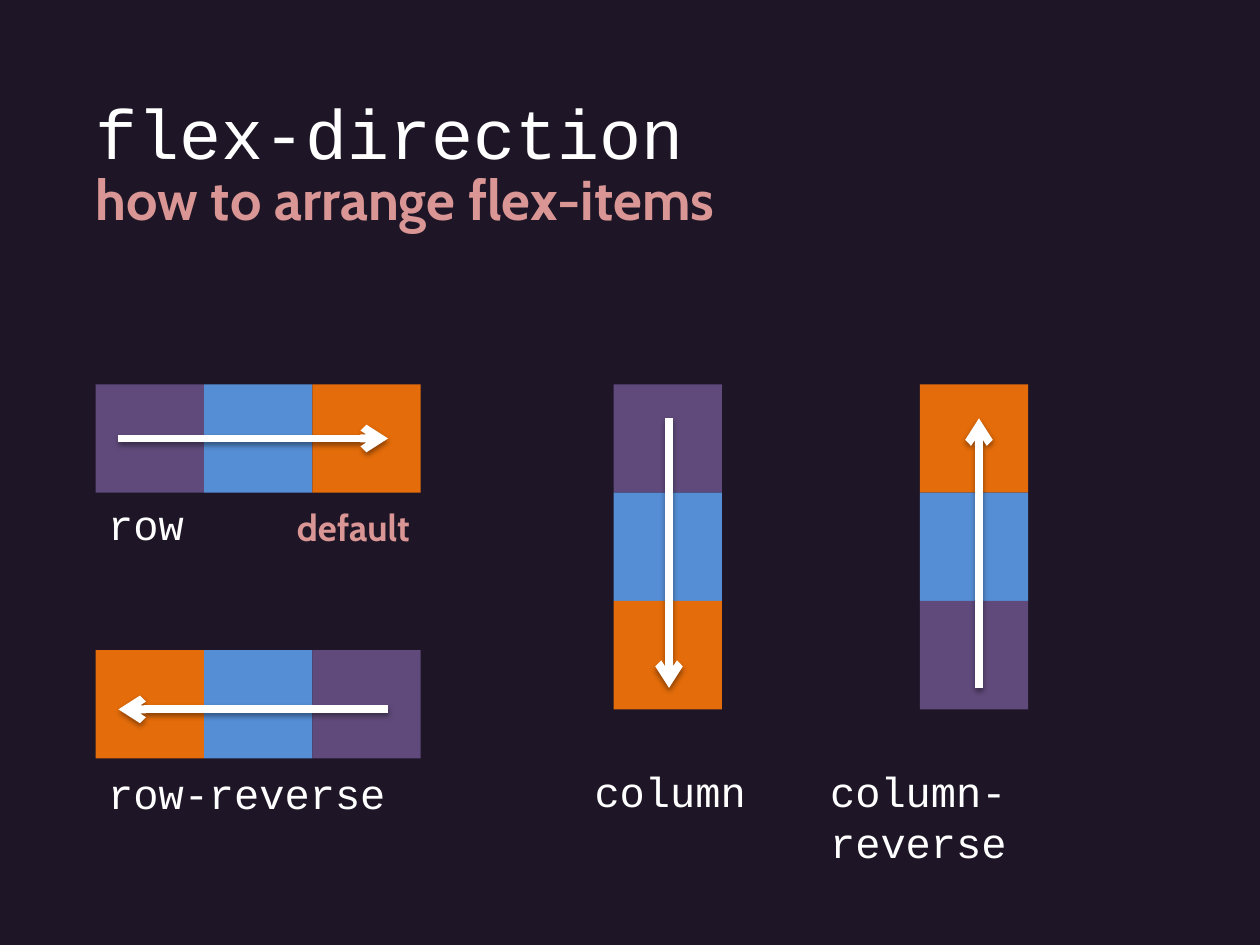
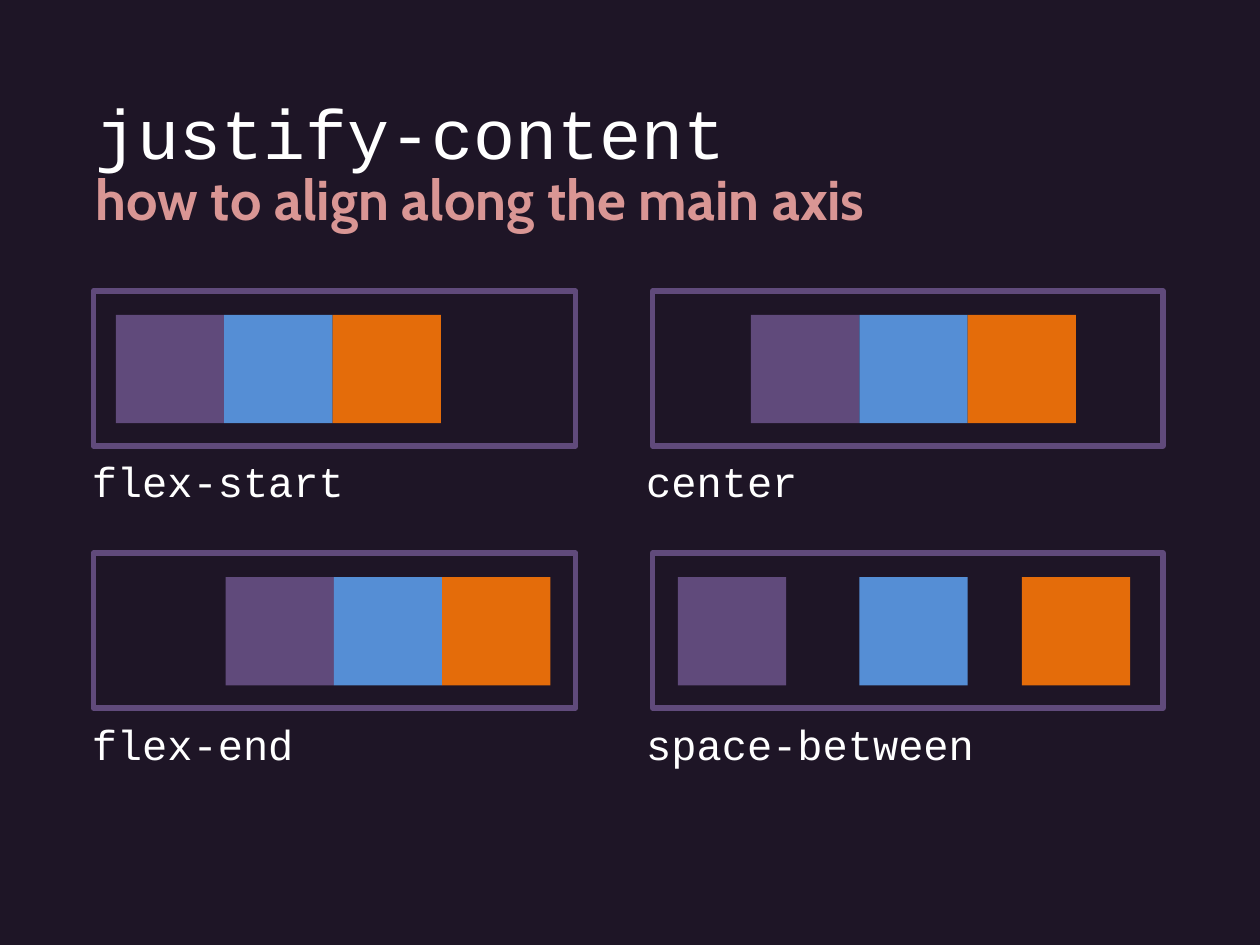
from lxml.etree import SubElement
from pptx import Presentation
from pptx.dml.color import RGBColor
from pptx.enum.shapes import MSO_CONNECTOR, MSO_SHAPE
from pptx.enum.text import MSO_AUTO_SIZE, PP_ALIGN
from pptx.oxml.ns import qn
from pptx.util import Inches, Pt

COLORS = {
    "night": "1E1526",
    "white": "FFFFFF",
    "rose": "D99694",
    "plum": "604A7B",
    "blue": "558ED5",
    "orange": "E46C0A",
    "black": "000000",
}
STYLES = {
    "title": ("white", {"name": "Courier New", "size": Pt(40)}),
    "lead": ("rose", {"name": "Cabin", "size": Pt(32), "bold": True}),
    "code": ("white", {"name": "Courier New", "size": Pt(24)}),
    "note": ("rose", {"name": "Cabin", "size": Pt(21), "bold": True}),
}
FRAME = {"word_wrap": True, "auto_size": MSO_AUTO_SIZE.SHAPE_TO_FIT_TEXT}
ITEMS = ("plum", "blue", "orange")
SIDE = 0.86


def color(name):
    return RGBColor.from_string(COLORS[name])


def apply(target, values):
    for key, value in values.items():
        setattr(target, key, value)


def write(slide, text, box, style, align=PP_ALIGN.LEFT):
    frame = slide.shapes.add_textbox(*map(Inches, box)).text_frame
    apply(frame, FRAME)
    para = frame.paragraphs[0]
    para.alignment = align
    run = para.add_run()
    run.text = text
    tint, values = STYLES[style]
    apply(run.font, values)
    run.font.color.rgb = color(tint)


def rect(slide, box, fill=None, edge=None):
    shape = slide.shapes.add_shape(MSO_SHAPE.RECTANGLE, *map(Inches, box))
    shape.shadow.inherit = False
    if fill:
        shape.fill.solid()
        shape.fill.fore_color.rgb = color(fill)
    else:
        shape.fill.background()
    if edge:
        shape.line.color.rgb = color(edge)
        shape.line.width = Pt(3)
    else:
        shape.line.fill.background()


def arrow(slide, start, end):
    line = slide.shapes.add_connector(
        MSO_CONNECTOR.STRAIGHT, *map(Inches, start + end))
    line.line.color.rgb = color("white")
    line.line.width = Pt(4.5)
    props = line.line._get_or_add_ln()
    SubElement(props, qn("a:tailEnd"), type="arrow")
    effects = SubElement(props.getparent(), qn("a:effectLst"))
    shade = SubElement(
        effects, qn("a:outerShdw"), blurRad=str(Pt(3.1)), dist=str(Pt(1.6)),
        dir="5400000", rotWithShape="0")
    tint = SubElement(shade, qn("a:srgbClr"), val=COLORS["black"])
    SubElement(tint, qn("a:alpha"), val="38000")


def header(deck, title, lead):
    slide = deck.slides.add_slide(deck.slide_layouts[6])
    slide.background.fill.solid()
    slide.background.fill.fore_color.rgb = color("night")
    write(slide, title, (0.66, 0.66, 8.14, 0.77), "title")
    write(slide, lead, (0.66, 1.26, 7.29, 0.64), "lead")
    return slide


def strip(slide, left, top, shift, upright=False, flip=False):
    names = reversed(ITEMS) if flip else ITEMS
    for i, name in enumerate(names):
        step = i * SIDE
        x, y = (left, top + step) if upright else (left + step, top)
        rect(slide, (x, y, SIDE, SIDE), name)
    if upright:
        ends = [(left + shift, top + 0.27), (left + shift, top + 2.41)]
    else:
        ends = [(left + 0.18, top + shift), (left + 2.32, top + shift)]
    arrow(slide, *(ends[::-1] if flip else ends))


def panel(slide, left, top, width, text, inset, spots):
    for name, spot in zip(ITEMS, spots):
        rect(slide, (left + spot, top + 0.19, SIDE, SIDE), name)
    rect(slide, (left, top, width, 1.23), edge="plum")
    write(slide, text, (left - inset, top + 1.26, 2.92, 0.5), "code")


def packed(start):
    return [start + i * SIDE for i in range(len(ITEMS))]


def direction(deck):
    slide = header(deck, "flex-direction", "how to arrange flex-items")
    strip(slide, 0.76, 3.05, 0.43)
    strip(slide, 0.76, 5.16, 0.47, flip=True)
    strip(slide, 4.87, 3.05, 0.44, upright=True)
    strip(slide, 7.3, 3.05, 0.47, upright=True, flip=True)
    for text, *box in (
        ("row", 0.76, 3.91, 0.86, 0.5),
        ("row-reverse", 0.76, 6.04, 3.09, 0.5),
        ("column", 4.62, 6.03, 1.55, 0.5),
        ("column-reverse", 6.49, 6.03, 2.96, 0.5),
    ):
        write(slide, text, box, "code")
    write(slide, "default", (1.52, 3.96, 1.83, 0.47), "note", PP_ALIGN.RIGHT)


def justify(deck):
    slide = header(deck, "justify-content", "how to align along the main axis")
    columns = (
        (0.74, 3.83, 0.11,
         (("flex-start", packed(0.18)), ("flex-end", packed(1.05)))),
        (5.18, 4.05, 0.15,
         (("center", packed(0.78)), ("space-between", (0.2, 1.64, 2.93)))),
    )
    for left, width, inset, cells in columns:
        for top, (text, spots) in zip((2.31, 4.39), cells):
            panel(slide, left, top, width, text, inset, spots)


def main():
    deck = Presentation()
    apply(deck, {"slide_width": Inches(10), "slide_height": Inches(7.5)})
    direction(deck)
    justify(deck)
    deck.save("out.pptx")


if __name__ == "__main__":
    main()
